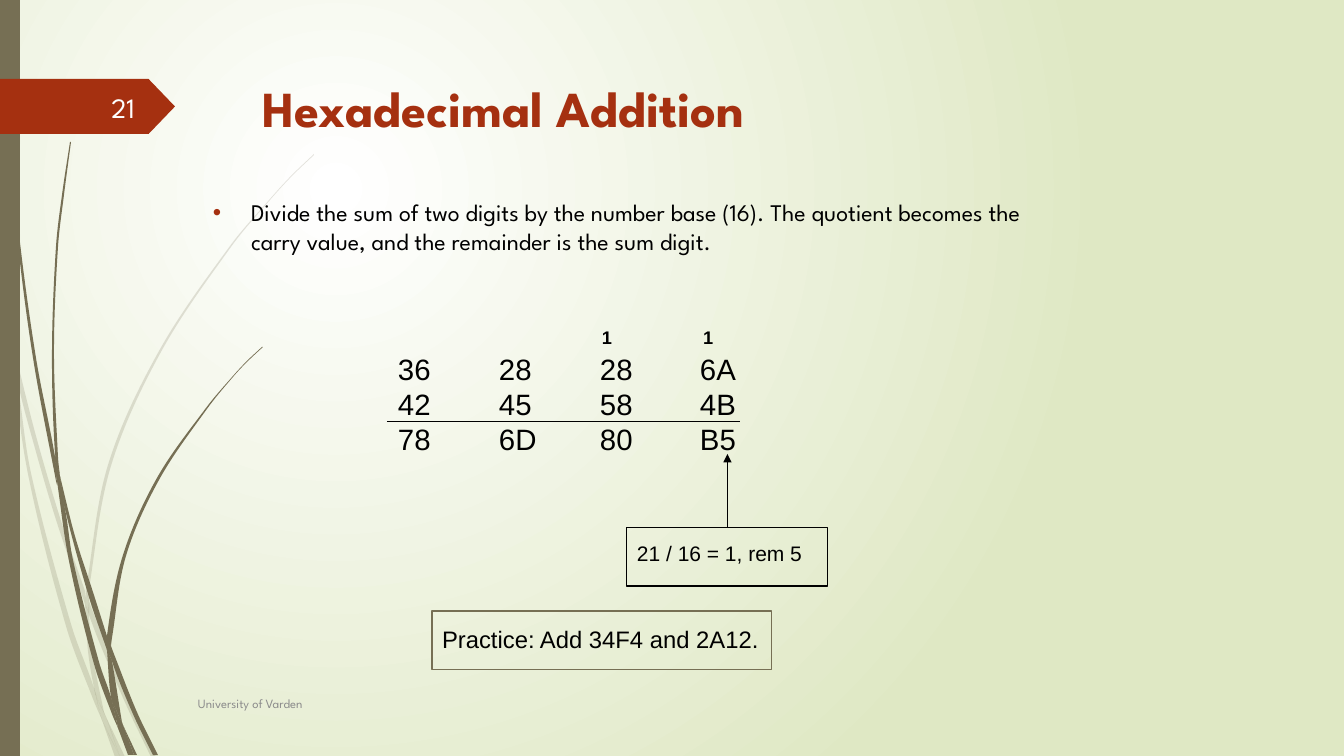
from dataclasses import dataclass
import math

import pptx
import pptx.dml.color
import pptx.enum.shapes
import pptx.enum.text
import pptx.oxml.ns
import pptx.util
from lxml import etree

SHAPE = pptx.enum.shapes.MSO_SHAPE
ANCHOR = pptx.enum.text.MSO_ANCHOR
ALIGN = pptx.enum.text.PP_ALIGN
qn = pptx.oxml.ns.qn

PX = 914400 / 100.8
HEADING, BODY = "League Spartan", "Arial"
RUST, OLIVE, BLACK = "A53010", "766F54", "000000"

Point = tuple[int, int]
Box = tuple[int, int, int, int]


@dataclass
class Blade:
    """A piece of grass between two edges, both listed from its tip."""
    left: list[Point]
    right: list[Point]


@dataclass
class Label:
    box: Box
    lines: list[str]
    size: int
    font: str = BODY
    color: str = BLACK
    bold: bool = False
    align: ALIGN = ALIGN.LEFT
    anchor: ANCHOR = ANCHOR.TOP
    inset: int = 14
    outline: str = ""
    tabs: tuple[int, ...] = ()


PALE_GRASS = [
    Blade([(0, 301), (10, 347), (11, 353)], [(0, 284), (9, 325), (11, 353)]),
    Blade([(14, 348), (17, 379), (36, 452), (58, 526), (85, 604)],
          [(14, 348), (36, 436), (62, 524), (85, 591)]),
    Blade([(89, 601), (89, 615), (124, 700), (151, 757)], [(89, 601), (93, 612), (128, 698), (156, 757)]),
    Blade([(106, 717), (120, 757)], [(106, 717), (125, 757)]),
    Blade([(11, 353), (28, 474), (66, 626), (93, 699), (102, 720)],
          [(11, 353), (17, 379), (31, 473), (71, 624), (94, 688), (100, 713), (102, 720)]),
    Blade([(85, 604), (88, 651), (94, 688), (97, 698), (106, 717)],
          [(85, 604), (89, 613), (89, 615), (92, 651), (104, 712), (106, 717)]),
    Blade([(314, 154), (291, 176), (270, 199), (230, 246), (159, 351), (108, 465), (86, 589),
           (86, 591), (89, 601)],
          [(314, 155), (292, 176), (270, 200), (231, 247), (161, 352), (111, 466), (89, 589), (89, 601)]),
    Blade([(102, 720), (115, 757)], [(102, 720), (120, 757)]),
    Blade([(86, 591), (85, 604), (89, 613)], [(86, 591), (89, 601), (89, 615)]),
    Blade([(94, 688), (100, 713), (102, 720), (120, 757)], [(94, 688), (97, 698), (106, 717), (120, 757)]),
]
DARK_GRASS = [
    Blade([(3, 0), (4, 48), (7, 111), (17, 235), (33, 358), (56, 481), (57, 485)],
          [(4, 0), (5, 48), (8, 110), (19, 234), (36, 358), (55, 457), (57, 485)]),
    Blade([(60, 476), (65, 509), (89, 597), (107, 650)], [(60, 476), (75, 536), (94, 595), (107, 636)]),
    Blade([(111, 646), (112, 661), (133, 714), (153, 755)], [(111, 646), (114, 654), (137, 712), (158, 755)]),
    Blade([(57, 481), (69, 561), (94, 664), (112, 714), (118, 728)],
          [(57, 481), (65, 509), (73, 560), (99, 662), (111, 697), (117, 723), (118, 728)]),
    Blade([(70, 142), (62, 195), (56, 247), (52, 352), (55, 453), (60, 476)],
          [(71, 142), (64, 195), (58, 247), (54, 352), (58, 457), (60, 476)]),
    Blade([(123, 725), (134, 755)], [(123, 725), (137, 755)]),
    Blade([(55, 453), (55, 457), (57, 481), (65, 509)], [(55, 453), (60, 476), (65, 509)]),
    Blade([(262, 347), (247, 361), (233, 376), (206, 408), (157, 478), (123, 555), (107, 636), (111, 646)],
          [(263, 347), (247, 362), (233, 377), (207, 409), (159, 480), (126, 556), (112, 638), (111, 646)]),
    Blade([(118, 728), (128, 755)], [(118, 728), (132, 755)]),
    Blade([(107, 650), (111, 697), (117, 712), (123, 725)],
          [(107, 650), (110, 656), (112, 661), (122, 722), (123, 725)]),
    Blade([(107, 636), (107, 650), (110, 656), (112, 661)], [(107, 636), (111, 646), (112, 661)]),
    Blade([(111, 697), (117, 723), (118, 728), (131, 755)], [(111, 697), (117, 712), (123, 725), (134, 755)]),
]

TITLE = Label((75, 74, 857, 67), ["Hexadecimal Addition"], 36, HEADING, RUST, True,
              ALIGN.CENTER, ANCHOR.MIDDLE, 5)
RULE = Label((203, 193, 857, 67),
             ["Divide the sum of two digits by the number base (16). The quotient becomes "
              "the carry value, and the remainder is the sum digit."], 17, HEADING, inset=5)
REMAINDER = Label((627, 527, 201, 59), ["21 / 16 = 1, rem 5"], 15, outline=BLACK, inset=13)
LABELS = [
    Label((188, 683, 840, 40), ["University of Varden"], 9, HEADING, "8C8C8C",
          anchor=ANCHOR.MIDDLE, inset=5),
    Label((59, 87, 86, 40), ["21"], 20, HEADING, "FEFFFF", align=ALIGN.RIGHT,
          anchor=ANCHOR.MIDDLE, inset=5),
    Label((388, 336, 428, 108), ["36\t28\t28\t6A", "42\t45\t58\t4B", "78\t6D\t80\tB5"], 21,
          inset=15, tabs=(101, 202, 302)),
    *(Label((x, 316, 31, 52), ["1"], 13, bold=True, inset=10) for x in (592, 693)),
    Label((432, 611, 340, 59), ["Practice: Add 34F4 and 2A12."], 17, outline=OLIVE),
]


def px(n: float) -> int:
    return round(n * PX)


def rgb(color: str) -> pptx.dml.color.RGBColor:
    return pptx.dml.color.RGBColor.from_string(color)


def paint(s, color: str, alpha: int = 100) -> None:
    s.shadow.inherit = False
    s.line.fill.background()
    s.fill.solid()
    s.fill.fore_color.rgb = rgb(color)
    if alpha < 100:
        clr = s.fill._xPr.find(".//" + qn("a:srgbClr"))
        etree.SubElement(clr, qn("a:alpha"), val=str(alpha * 1000))


def handle(before: Point, node: Point, after: Point, length: float) -> tuple[float, float]:
    """Curve handle at a node, along the line through its neighbours."""
    k = length / 3 / math.dist(before, after)
    return node[0] + (after[0] - before[0]) * k, node[1] + (after[1] - before[1]) * k


def draw_blade(shapes, blade: Blade, alpha: int) -> None:
    sides = blade.left, blade.right[::-1]
    nodes = [(px(x), px(y)) for side in sides for x, y in side]
    builder = shapes.build_freeform(*nodes[0], scale=1.0)
    builder.add_line_segments(nodes[1:], close=True)
    s = builder.convert_to_shape()
    lines = s._element.findall(".//" + qn("a:lnTo"))
    del lines[len(blade.left) - 1]
    segments = []
    for side in sides:
        ext = [side[0], *side, side[-1]]
        for a, b, c, d in zip(ext, ext[1:], ext[2:], ext[3:]):
            length = math.dist(b, c)
            segments.append((handle(a, b, c, length), handle(d, c, b, length), c))
    for line, segment in zip(lines, segments):
        curve = etree.Element(qn("a:cubicBezTo"))
        for x, y in segment:
            etree.SubElement(curve, qn("a:pt"), x=str(px(x) - s.left), y=str(px(y) - s.top))
        line.getparent().replace(line, curve)
    paint(s, OLIVE, alpha)


def write(s, label: Label) -> None:
    s.left, s.top, s.width, s.height = map(px, label.box)
    tf = s.text_frame
    tf.word_wrap = True
    tf.auto_size = pptx.enum.text.MSO_AUTO_SIZE.NONE
    tf.vertical_anchor = label.anchor
    tf.margin_left = tf.margin_right = px(10)
    tf.margin_top = tf.margin_bottom = px(label.inset)
    tf.text = "\n".join(label.lines)
    for p in tf.paragraphs:
        p.alignment = label.align
        p.font.size = pptx.util.Pt(label.size)
        p.font.name = label.font
        p.font.bold = label.bold
        p.font.color.rgb = rgb(label.color)
        if label.tabs:
            tabs = etree.Element(qn("a:tabLst"))
            for x in label.tabs:
                etree.SubElement(tabs, qn("a:tab"), pos=str(px(x)), algn="l")
            p._p.pPr.find(qn("a:defRPr")).addprevious(tabs)


def add_label(shapes, label: Label):
    box = map(px, label.box)
    if label.outline:
        s = shapes.add_shape(SHAPE.RECTANGLE, *box)
        s.shadow.inherit = False
        s.fill.background()
        s.line.color.rgb = rgb(label.outline)
        s.line.width = pptx.util.Pt(0.75)
    else:
        s = shapes.add_textbox(*box)
    write(s, label)
    return s


def add_line(shapes, start: Point, end: Point):
    line = shapes.add_connector(pptx.enum.shapes.MSO_CONNECTOR.STRAIGHT, *map(px, start + end))
    line.line.color.rgb = rgb(BLACK)
    line.line.width = pptx.util.Pt(0.75)
    etree.SubElement(line._element.spPr, qn("a:effectLst"))
    return line


def set_background(slide) -> None:
    fill = slide.background.fill
    fill.gradient()
    for stop, color in zip(fill.gradient_stops, ("FFFFFF", "DFE8C4")):
        stop.color.rgb = rgb(color)
    lin = fill._xPr.find(".//" + qn("a:lin"))
    radial = etree.Element(qn("a:path"), {"path": "circle"})
    etree.SubElement(radial, qn("a:fillToRect"), l="50000", t="50000", r="100000", b="100000")
    lin.getparent().replace(lin, radial)


def add_bullet(p) -> None:
    pPr = p._p.get_or_add_pPr()
    pPr.set("marL", str(px(38)))
    pPr.set("indent", str(px(-38)))
    color = etree.Element(qn("a:buClr"))
    etree.SubElement(color, qn("a:srgbClr"), val=RUST)
    for part in (color, etree.Element(qn("a:buFont"), typeface=BODY),
                 etree.Element(qn("a:buChar"), char="•")):
        pPr.find(qn("a:defRPr")).addprevious(part)


def main() -> None:
    prs = pptx.Presentation()
    prs.slide_width, prs.slide_height = px(1344), px(756)
    slide = prs.slides.add_slide(prs.slide_layouts[5])
    shapes = slide.shapes
    set_background(slide)

    # Grass, side bar and page tag
    for grass, alpha in ((PALE_GRASS, 20), (DARK_GRASS, 100)):
        for blade in grass:
            draw_blade(shapes, blade, alpha)
    paint(shapes.add_shape(SHAPE.RECTANGLE, 0, 0, px(20), px(756)), OLIVE)
    tag = shapes.add_shape(SHAPE.PENTAGON, 0, px(79), px(175), px(55))
    tag.adjustments[0] = 0.48
    paint(tag, RUST)

    # Title and bulleted rule
    write(shapes.title, TITLE)
    p = add_label(shapes, RULE).text_frame.paragraphs[0]
    p.space_before = pptx.util.Pt(10)
    add_bullet(p)

    # Sums, notes and sum line
    for label in LABELS:
        add_label(shapes, label)
    add_line(shapes, (387, 422), (740, 422))

    # Remainder note and its arrow
    note = add_label(shapes, REMAINDER)
    arrow = add_line(shapes, (727, 527), (727, 454))
    arrow.begin_connect(note, 0)
    arrow.end_x = arrow.begin_x
    etree.SubElement(arrow.line._get_or_add_ln(), qn("a:tailEnd"), type="triangle")

    prs.save("out.pptx")


if __name__ == "__main__":
    main()
